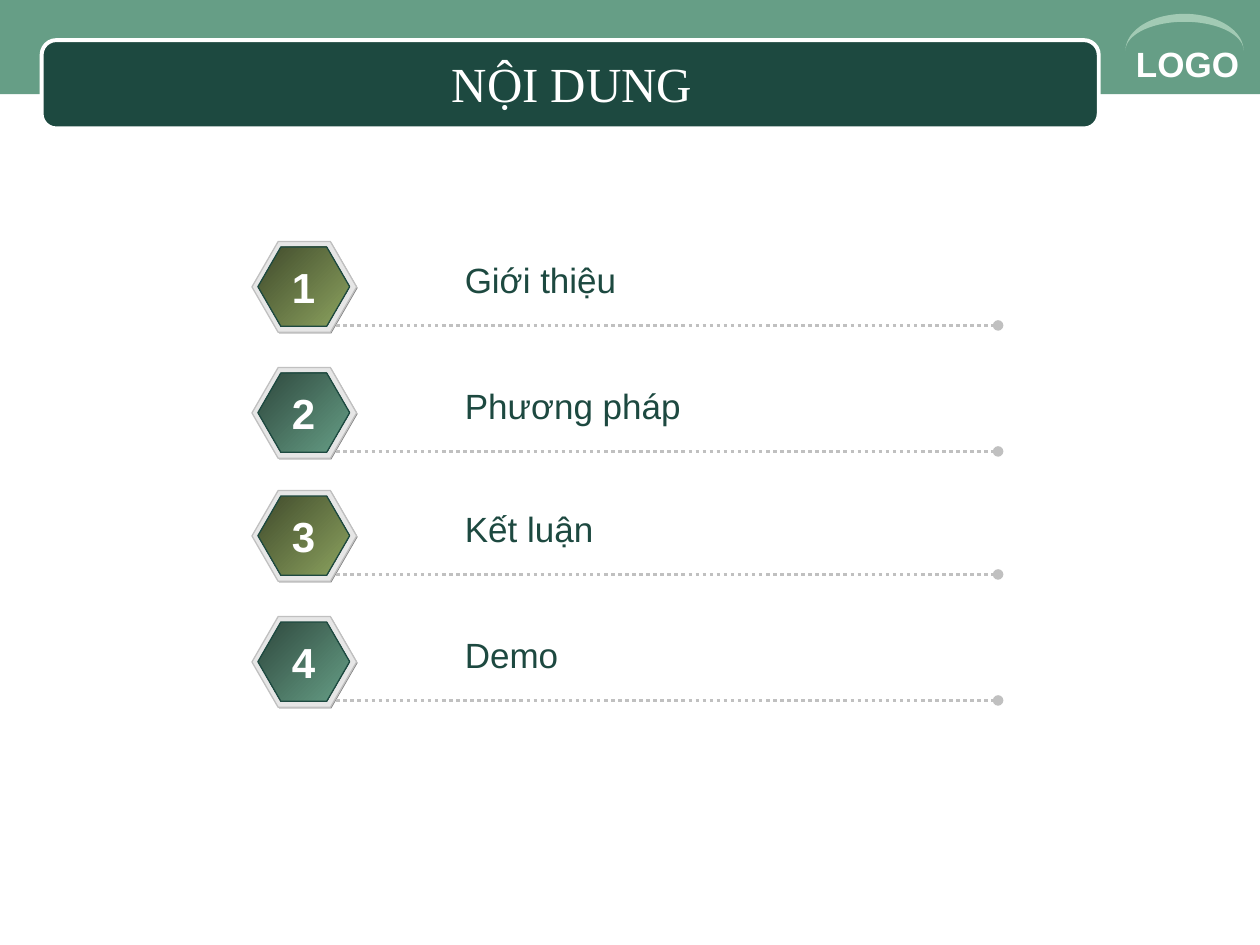
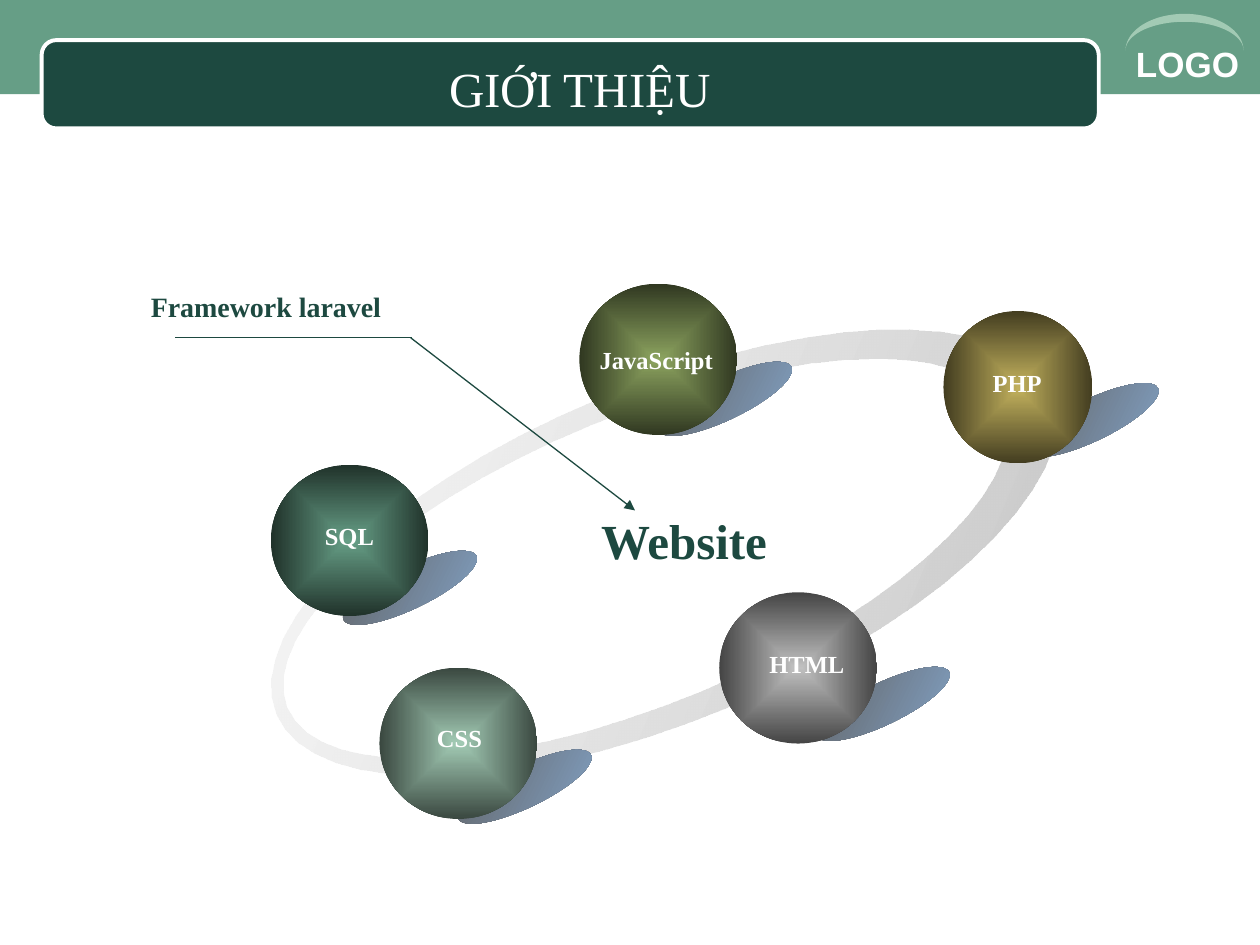
"""Build two slides: a numbered contents list and a ring of web technologies."""
from dataclasses import dataclass
from math import cos, pi, sin

from lxml.etree import SubElement
from pptx import Presentation
from pptx.dml.color import RGBColor
from pptx.enum.dml import MSO_LINE
from pptx.enum.shapes import MSO_CONNECTOR, MSO_SHAPE
from pptx.enum.text import MSO_ANCHOR, MSO_AUTO_SIZE, PP_ALIGN
from pptx.oxml import parse_xml
from pptx.oxml.ns import nsdecls, qn
from pptx.util import Cm, Pt

SANS, SERIF = "Arial", "Times New Roman"
WHITE, DARK, GREEN, MINT = "FFFFFF", "1D4940", "669E86", "A2CAB4"
OLIVE, SILVER, GRAY = "8CA35F", "C0C0C0", "808080"
LINEAR = '<a:lin ang="{}" scaled="0"/>'
FROM_CENTRE = ('<a:path path="rect"><a:fillToRect l="50000" t="50000" '
               'r="50000" b="50000"/></a:path>')


@dataclass
class Item:
    text: str
    top: float
    start: str
    end: str


@dataclass
class Sphere:
    text: str
    left: float
    top: float
    inner: str
    outer: str
    shadow: tuple[float, float]
    label: tuple[float, float]
    width: float = 3.18
    height: float = 3.05


ITEMS = [
    Item("Giới thiệu", 4.87, "414B2C", OLIVE),
    Item("Phương pháp", 7.41, "2F493E", GREEN),
    Item("Kết luận", 9.89, "414B2C", OLIVE),
    Item("Demo", 12.43, "2F493E", GREEN),
]
SPHERES = [
    Sphere("JavaScript", 11.68, 5.72, OLIVE, "303821", (13.13, 7.62), (11.84, 6.84)),
    Sphere("SQL", 5.46, 9.37, GREEN, "20322A", (6.78, 11.43), (6.3, 10.37)),
    Sphere("CSS", 7.65, 13.46, MINT, "3A4840", (9.09, 15.44), (8.56, 14.46)),
    Sphere("HTML", 14.5, 11.94, SILVER, "454545", (16.31, 13.77), (15.26, 12.95)),
    Sphere("PHP", 19.02, 6.27, "C1B05D", "433D20", (20.52, 8.05), (19.76, 7.29), 3, 3.07),
]


def rgb(color: str) -> RGBColor:
    """Turn a hex string into a colour."""
    return RGBColor.from_string(color)


def set_gradient(sp, start: str, end: str, shading: str, alpha: int = 100) -> None:
    """Fill a shape with two colours, the first with the given opacity."""
    sp.fill.gradient()
    old = sp.element.spPr.find(qn("a:gradFill"))
    old.getparent().replace(old, parse_xml(
        f'<a:gradFill {nsdecls("a")} rotWithShape="0"><a:gsLst>'
        f'<a:gs pos="0"><a:srgbClr val="{start}"><a:alpha val="{alpha * 1000}"/></a:srgbClr></a:gs>'
        f'<a:gs pos="100000"><a:srgbClr val="{end}"/></a:gs></a:gsLst>{shading}</a:gradFill>'))


def style(sp, fill: str = "", line: str = "", width: float = 0.75) -> None:
    """Drop the shadow and set solid fill and outline."""
    sp.shadow.inherit = False
    if fill:
        sp.fill.solid()
        sp.fill.fore_color.rgb = rgb(fill)
    if line:
        sp.line.color.rgb = rgb(line)
        sp.line.width = Pt(width)
    else:
        sp.line.fill.background()


def add_shape(s, kind, left: float, top: float, width: float, height: float,
              fill: str = "", line: str = "", weight: float = 0.75):
    """Add a styled preset shape."""
    sp = s.shapes.add_shape(kind, Cm(left), Cm(top), Cm(width), Cm(height))
    style(sp, fill, line, weight)
    return sp


def add_hexagon(s, left: float, top: float, width: float, height: float,
                fill: str = "", line: str = ""):
    """Add a regular-looking hexagon."""
    sp = add_shape(s, MSO_SHAPE.HEXAGON, left, top, width, height, fill, line)
    sp.adjustments[0] = 0.289
    return sp


def write(tf, text: str, size: float, font: str, color: str,
          bold: bool = False, align=PP_ALIGN.LEFT) -> None:
    """Set and format one line of text."""
    tf.text = text
    p = tf.paragraphs[0]
    p.alignment = align
    f = p.runs[0].font
    f.size, f.name, f.bold = Pt(size), font, bold
    f.color.rgb = rgb(color)


def add_text(s, text: str, left: float, top: float, width: float, height: float,
             size: float, font: str, color: str, bold: bool = False,
             align=PP_ALIGN.LEFT) -> None:
    """Add a text box."""
    tf = s.shapes.add_textbox(Cm(left), Cm(top), Cm(width), Cm(height)).text_frame
    tf.word_wrap = True
    tf.auto_size = MSO_AUTO_SIZE.SHAPE_TO_FIT_TEXT
    write(tf, text, size, font, color, bold, align)


def add_line(s, x1: float, y1: float, x2: float, y2: float, color: str,
             width: float = 0.75, end: str = "", dash=None) -> None:
    """Add a straight line with an optional end mark."""
    c = s.shapes.add_connector(MSO_CONNECTOR.STRAIGHT, Cm(x1), Cm(y1), Cm(x2), Cm(y2))
    c.line.color.rgb = rgb(color)
    c.line.width = Pt(width)
    if dash:
        c.line.dash_style = dash
    if end:
        SubElement(c.element.spPr.find(qn("a:ln")), qn("a:tailEnd"), type=end)
    SubElement(c.element.spPr, qn("a:effectLst"))


def arc(cx: float, cy: float, rx: float, ry: float, start: float, end: float,
        steps: int = 60) -> list[tuple[int, int]]:
    """Return points along an ellipse between two angles."""
    angles = [start + (end - start) * i / steps for i in range(steps + 1)]
    return [(Cm(cx + rx * cos(a)), Cm(cy + ry * sin(a))) for a in angles]


def add_outline(s, *contours: list[tuple[int, int]]):
    """Add a freeform of closed contours."""
    fb = s.shapes.build_freeform(*contours[0][0])
    for i, points in enumerate(contours):
        if i:
            fb.move_to(*points[0])
        fb.add_line_segments(points[1:], close=True)
    return fb.convert_to_shape()


def add_slide(prs, title: str, dx: float = 0, dy: float = 0):
    """Add a slide with the shared band, corner mark and title."""
    s = prs.slides.add_slide(prs.slide_layouts[5])
    add_shape(s, MSO_SHAPE.RECTANGLE, 0, 0, 25.4, 1.9, GREEN)
    add_shape(s, MSO_SHAPE.ROUNDED_RECTANGLE, 0.84, 0.81, 21.31, 1.78, DARK, WHITE, 2.25)
    add_text(s, "LOGO", 22.65, 0.74, 2.75, 1.12, 20, SANS, WHITE, True)
    crescent = arc(23.88, 1.02, 1.19, 0.74, -pi, 0) + arc(23.88, 1.02, 1.19, 0.58, 0, -pi)
    style(add_outline(s, crescent), MINT)
    sp = s.shapes.title
    sp.left, sp.top, sp.width, sp.height = Cm(1.27 + dx), Cm(0.89 + dy), Cm(20.52), Cm(1.57)
    tf = sp.text_frame
    tf.auto_size = MSO_AUTO_SIZE.NONE
    tf.vertical_anchor = MSO_ANCHOR.MIDDLE
    write(tf, title, 28, SERIF, WHITE, align=PP_ALIGN.CENTER)
    sp.element.getparent().append(sp.element)
    return s


def add_item(s, number: int, item: Item) -> None:
    """Draw one numbered row of the contents list."""
    top = item.top
    add_hexagon(s, 5.1, top + 0.02, 2.11, 1.83, GRAY)
    add_hexagon(s, 5.08, top, 2.11, 1.83, "E6E6E6", SILVER)
    face = add_hexagon(s, 5.2, top + 0.11, 1.85, 1.6, line=DARK)
    set_gradient(face, item.start, item.end, LINEAR.format(45 * 60000))
    add_line(s, 6.78, top + 1.69, 20.12, top + 1.69, SILVER, 2, "oval", MSO_LINE.ROUND_DOT)
    add_text(s, item.text, 9.12, top + 0.22, 10, 1.12, 20, SANS, DARK)
    add_text(s, str(number), 5.42, top + 0.27, 1.4, 1.27, 24, SANS, WHITE, True,
             PP_ALIGN.CENTER)


def add_ring(s) -> None:
    """Draw the tapering tilted ring."""
    sp = add_outline(s, arc(13.39, 11.14, 8.46, 3.37, 0, 2 * pi),
                     arc(12.99, 11.1, 7.8, 2.9, 2 * pi, 0))
    style(sp)
    set_gradient(sp, "ECECEC", SILVER, LINEAR.format(23 * 60000), 36)
    sp.rotation = 337.4


def add_spheres(s) -> None:
    """Draw all shadows, then the spheres, then their labels."""
    for b in SPHERES:
        sp = add_shape(s, MSO_SHAPE.OVAL, *b.shadow, 2.97, 0.84)
        set_gradient(sp, "5F5F5F", "84A5CA", LINEAR.format(26 * 60000))
        sp.rotation = 334.3
    for b in SPHERES:
        sp = add_shape(s, MSO_SHAPE.OVAL, b.left, b.top, b.width, b.height)
        set_gradient(sp, b.inner, b.outer, FROM_CENTRE)
    for b in SPHERES:
        add_text(s, b.text, *b.label, 3.2, 0.86, 14, SERIF, WHITE, True)


def main() -> None:
    """Build and save the deck."""
    prs = Presentation()
    prs.slide_width, prs.slide_height = Cm(25.4), Cm(19.05)

    s = add_slide(prs, "NỘI DUNG")
    for number, item in enumerate(ITEMS, 1):
        add_item(s, number, item)

    s = add_slide(prs, "GIỚI THIỆU", 0.16, 0.1)
    add_ring(s)
    add_spheres(s)
    add_text(s, "Website", 10.59, 10.16, 6.4, 1.45, 28, SERIF, DARK, True, PP_ALIGN.CENTER)
    add_line(s, 8.28, 6.81, 12.8, 10.29, DARK, end="triangle")
    add_line(s, 8.3, 6.81, 3.53, 6.81, DARK)
    add_text(s, "Framework laravel", 2.79, 5.72, 6.6, 0.94, 16, SERIF, DARK, True)
    prs.save("out.pptx")


if __name__ == "__main__":
    main()
